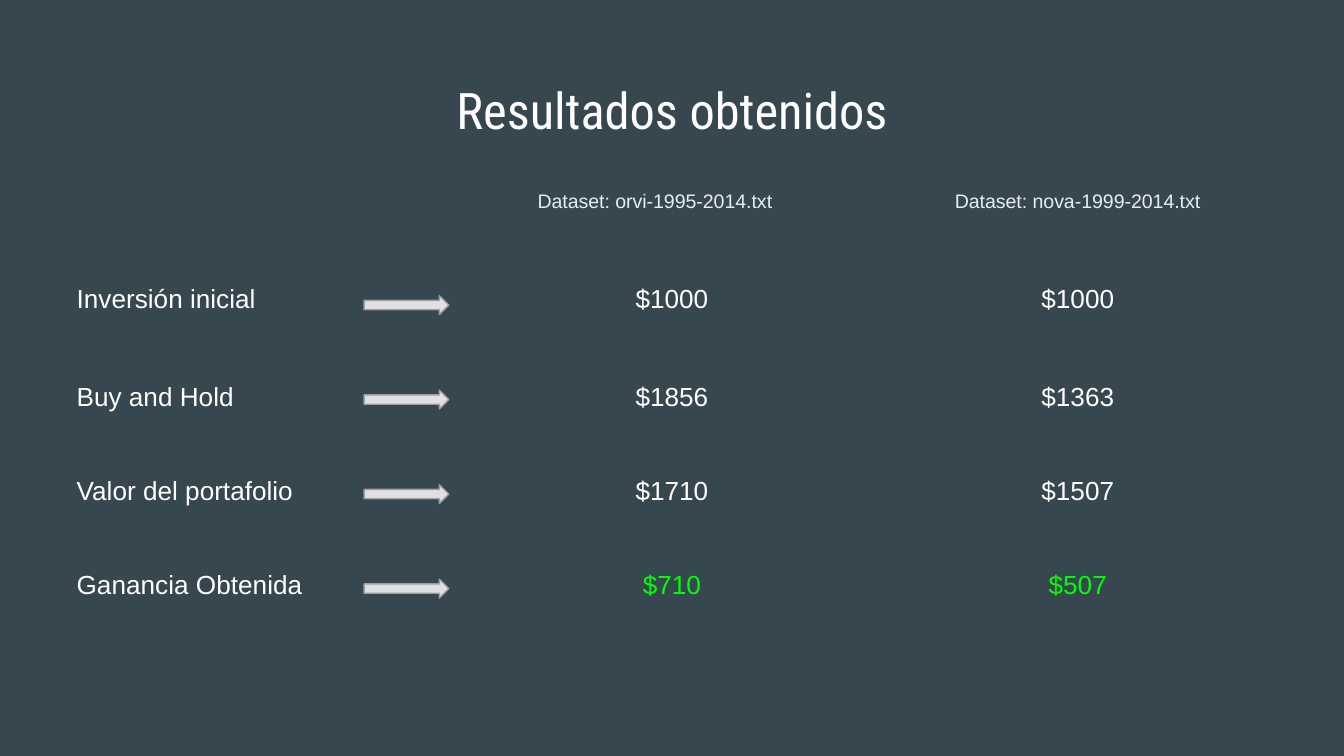
from pptx import Presentation
from pptx.dml.color import RGBColor
from pptx.enum.shapes import MSO_SHAPE
from pptx.enum.text import MSO_ANCHOR, MSO_AUTO_SIZE, PP_ALIGN
from pptx.util import Inches, Pt

BACKGROUND = RGBColor(0x37, 0x47, 0x4F)
WHITE = RGBColor(0xFF, 0xFF, 0xFF)
PALE_BLUE = RGBColor(0xE6, 0xED, 0xF3)
GREEN = RGBColor(0x00, 0xFF, 0x00)
ARROW_FILL = RGBColor(0xE0, 0xE0, 0xE0)
ARROW_LINE = RGBColor(0x9E, 0x9E, 0x9E)

SLIDE_WIDTH = Inches(10)
SLIDE_HEIGHT = SLIDE_WIDTH * 9 // 16
NO_GRID_STYLE = "{2D5ABB26-0587-4C30-8999-92F81FD0307C}"
INSET = Inches(0.1)
MARGINS = {"margin_left": INSET, "margin_right": INSET,
           "margin_top": INSET, "margin_bottom": INSET}
TITLE_FONT = {"name": "Roboto Condensed", "size": Pt(27)}
HEADER_FONT = {"name": "Arial", "size": Pt(10.5)}
BODY_FONT = {"name": "Arial", "size": Pt(14)}

RESULTS = [
    ["", "Dataset: orvi-1995-2014.txt\t", "Dataset: nova-1999-2014.txt"],
    ["Inversión inicial", "$1000", "$1000"],
    ["Buy and Hold", "$1856", "$1363"],
    ["Valor del portafolio", "$1710", "$1507"],
    ["Ganancia Obtenida", "$710", "$507"],
]
ROW_HEIGHTS = [0.7, 0.73, 0.7, 0.7, 0.7]
COLUMN_WIDTH = 3.02
FIRST_ARROW_TOP = 2.2
LAST_ARROW_TOP = 4.31


def set_attributes(target, values):
    for name, value in values.items():
        setattr(target, name, value)


def write_text(text_frame, text, font, color, alignment):
    paragraph = text_frame.paragraphs[0]
    paragraph.alignment = alignment
    run = paragraph.add_run()
    run.text = text
    set_attributes(run.font, font)
    run.font.color.rgb = color


def add_title(slide, text):
    title = slide.shapes.title
    set_attributes(title, {"left": Inches(0.34), "top": Inches(0.49),
                           "width": Inches(9.32), "height": Inches(0.63)})
    set_attributes(title.text_frame, {
        **MARGINS, "word_wrap": True, "auto_size": MSO_AUTO_SIZE.NONE,
        "vertical_anchor": MSO_ANCHOR.TOP})
    write_text(title.text_frame, text, TITLE_FONT, WHITE, PP_ALIGN.CENTER)


def cell_format(row_index, column_index):
    if row_index == 0:
        return HEADER_FONT, PALE_BLUE, PP_ALIGN.CENTER
    if column_index == 0:
        return BODY_FONT, WHITE, PP_ALIGN.LEFT
    is_gain = row_index == len(RESULTS) - 1
    return BODY_FONT, GREEN if is_gain else WHITE, PP_ALIGN.CENTER


def add_results_table(slide):
    columns = len(RESULTS[0])
    frame = slide.shapes.add_table(
        len(RESULTS), columns, Inches(0.47), Inches(1.32),
        Inches(COLUMN_WIDTH * columns), Inches(sum(ROW_HEIGHTS)))
    table = frame.table
    set_attributes(table, {"first_row": False, "horz_banding": False})
    table._tbl.tblPr.find("{*}tableStyleId").text = NO_GRID_STYLE
    for column in table.columns:
        column.width = Inches(COLUMN_WIDTH)
    for row, height in zip(table.rows, ROW_HEIGHTS):
        row.height = Inches(height)
    for row_index, values in enumerate(RESULTS):
        for column_index, text in enumerate(values):
            cell = table.cell(row_index, column_index)
            cell.fill.background()
            set_attributes(cell, {**MARGINS, "vertical_anchor": MSO_ANCHOR.TOP})
            if text:
                write_text(cell.text_frame, text,
                           *cell_format(row_index, column_index))


def add_arrow(slide, top):
    arrow = slide.shapes.add_shape(
        MSO_SHAPE.RIGHT_ARROW, Inches(2.71), Inches(top),
        Inches(0.63), Inches(0.14))
    arrow.shadow.inherit = False
    arrow.fill.solid()
    arrow.fill.fore_color.rgb = ARROW_FILL
    arrow.line.color.rgb = ARROW_LINE
    arrow.line.width = Pt(0.75)


def main():
    presentation = Presentation()
    set_attributes(presentation, {"slide_width": SLIDE_WIDTH,
                                  "slide_height": SLIDE_HEIGHT})
    slide = presentation.slides.add_slide(presentation.slide_layouts[5])
    slide.background.fill.solid()
    slide.background.fill.fore_color.rgb = BACKGROUND
    add_title(slide, "Resultados obtenidos")
    add_results_table(slide)
    arrow_count = len(RESULTS) - 1
    arrow_step = (LAST_ARROW_TOP - FIRST_ARROW_TOP) / (arrow_count - 1)
    for index in range(arrow_count):
        add_arrow(slide, FIRST_ARROW_TOP + index * arrow_step)
    presentation.save("out.pptx")


if __name__ == "__main__":
    main()
